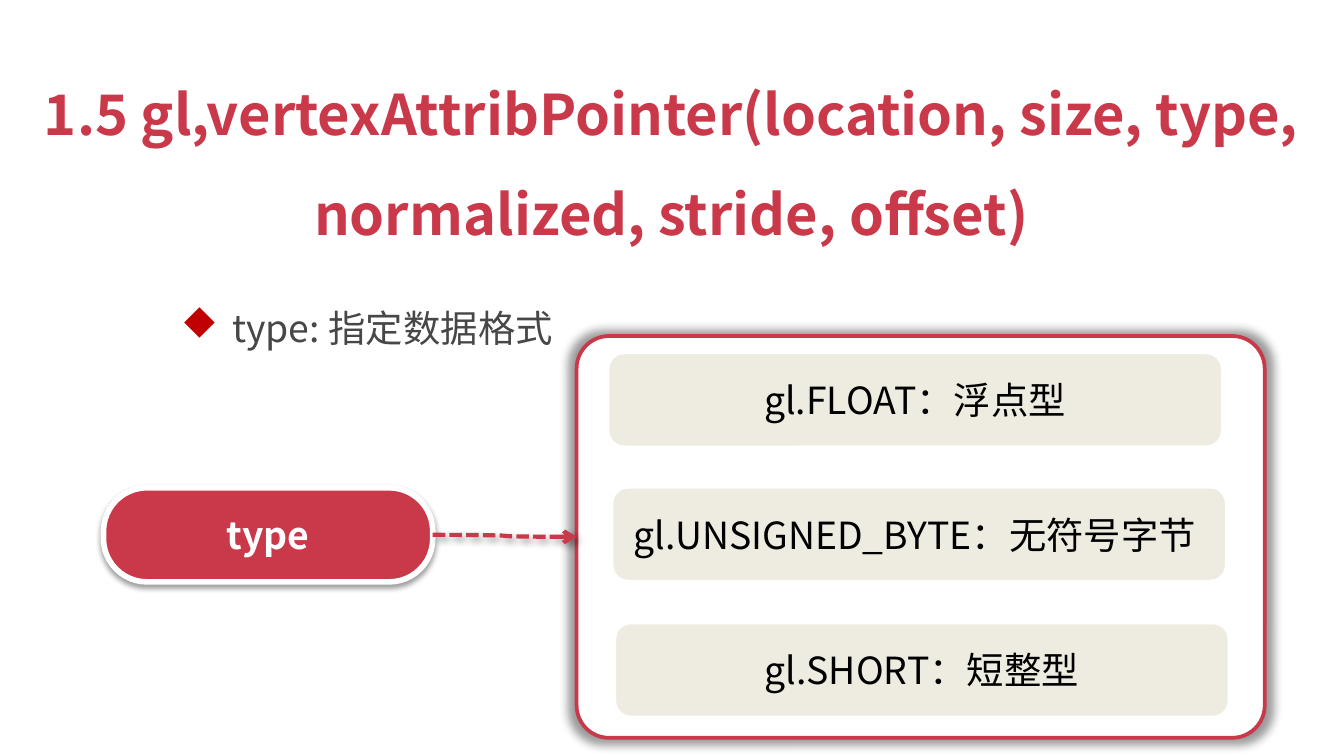
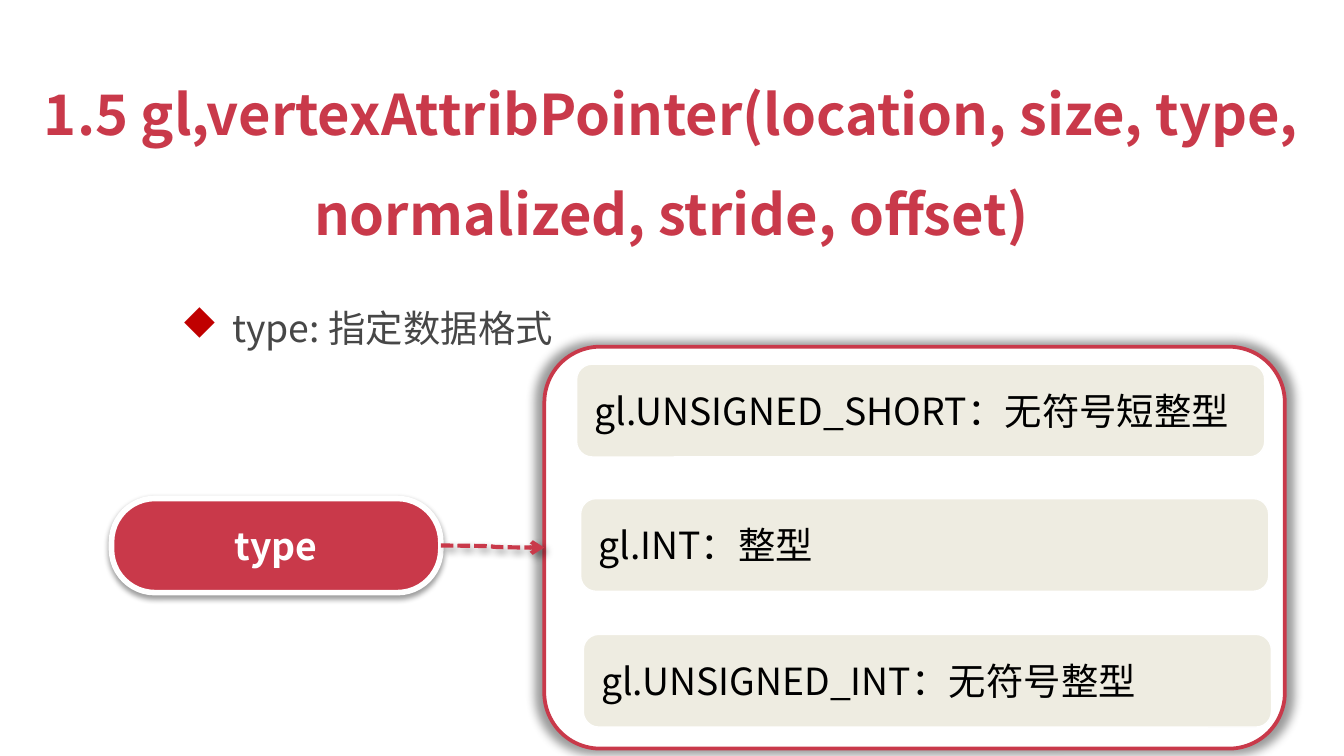
from lxml import etree
from pptx import Presentation
from pptx.dml.color import RGBColor
from pptx.enum.dml import MSO_LINE
from pptx.enum.shapes import MSO_CONNECTOR, MSO_SHAPE
from pptx.enum.text import MSO_ANCHOR, MSO_AUTO_SIZE, PP_ALIGN
from pptx.oxml.ns import qn
from pptx.util import Emu, Pt

PX = 9144  # 100 px to the inch
SLIDE_W = 1000
FONT = "Noto Sans CJK SC"
RED, BULLET_RED = "C9394A", "C00000"
WHITE, BLACK, GREY, BEIGE = "FFFFFF", "000000", "474747", "EEECE1"

ROUNDED = MSO_SHAPE.ROUNDED_RECTANGLE
CURVE = MSO_CONNECTOR.CURVE
SHORT_DASH = MSO_LINE.SQUARE_DOT
MIDDLE = MSO_ANCHOR.MIDDLE
LEFT, CENTER = PP_ALIGN.LEFT, PP_ALIGN.CENTER
FIT_SHAPE = MSO_AUTO_SIZE.SHAPE_TO_FIT_TEXT
LEFT_SITE, RIGHT_SITE = 1, 3

TITLE = "1.5 gl,vertexAttribPointer(location, size, type, normalized, stride, offset)"
TOPIC = "type: 指定数据格式"
TITLE_BOX = (-14, 29, 1027, 153)
TOPIC_BOX = (75, 222, 900, 44)
PILL_SIZE = (245, 70)
ROW_H = 69
ROWS_LEFT, ROWS_TOP = 24, 13

SLIDES = [
    dict(panel_box=(429, 250, 512, 299), corner=0.081, pill_left=77,
         row_w=456, align=CENTER,
         formats=["gl.FLOAT：浮点型", "gl.UNSIGNED_BYTE：⽆符号字节 ", "gl.SHORT：短整型"]),
    dict(panel_box=(405, 258, 551, 299), corner=0.139, pill_left=83,
         row_w=512, align=LEFT,
         formats=["gl.UNSIGNED_SHORT：无符号短整型", "gl.INT：整型", "gl.UNSIGNED_INT：无符号整型"]),
]


def color(hex_string):
    return RGBColor.from_string(hex_string)


def px(*lengths):
    return [Emu(length * PX) for length in lengths]


def add_xml(parent, tag, **attributes):
    values = {name: str(value) for name, value in attributes.items()}
    return etree.SubElement(parent, qn(tag), values)


def add_shadow(spPr, opacity, blur, distance, angle, scale=100):
    """Append an outer shadow; lengths in points, opacity and scale in percent."""
    effects = spPr.find(qn("a:effectLst"))
    if effects is None:
        effects = add_xml(spPr, "a:effectLst")
    shadow = add_xml(effects, "a:outerShdw", blurRad=Pt(blur), dist=Pt(distance),
                     dir=angle * 60000, sx=scale * 1000, sy=scale * 1000,
                     algn="ctr", rotWithShape=0)
    tint = add_xml(shadow, "a:srgbClr", val=BLACK)
    add_xml(tint, "a:alpha", val=opacity * 1000)


def write(frame, text, size, hex_color, bold=False, align=LEFT):
    frame.word_wrap = True
    frame.text = text
    paragraph = frame.paragraphs[0]
    paragraph.alignment = align
    for run in paragraph.runs:
        font = run.font
        font.size, font.bold, font.name = Pt(size), bold, FONT
        font.color.rgb = color(hex_color)
        add_xml(run._r.get_or_add_rPr(), "a:ea", typeface=FONT)
    return paragraph


def add_rounded(slide, box, fill, line, line_width, corner=None, shadow=None):
    shape = slide.shapes.add_shape(ROUNDED, *px(*box))
    if corner is not None:
        shape.adjustments[0] = corner
    shape.fill.solid()
    shape.fill.fore_color.rgb = color(fill)
    shape.line.color.rgb = color(line)
    shape.line.width = Pt(line_width)
    shape.shadow.inherit = False
    if shadow:
        add_shadow(shape._element.spPr, *shadow)
    shape.text_frame.vertical_anchor = MIDDLE
    return shape


def add_topic(slide, box):
    frame = slide.shapes.add_textbox(*px(*box)).text_frame
    frame.vertical_anchor = MIDDLE
    frame.auto_size = FIT_SHAPE
    topic = write(frame, TOPIC, 20, GREY)
    topic.level = 1
    pPr = topic._p.get_or_add_pPr()
    indent, hanging = px(88, -38)
    pPr.set("marL", str(indent))
    pPr.set("indent", str(hanging))
    add_xml(add_xml(pPr, "a:buClr"), "a:srgbClr", val=BULLET_RED)
    add_xml(pPr, "a:buFont", typeface="Wingdings", charset=2)
    add_xml(pPr, "a:buChar", char="u")  # a diamond in Wingdings


def add_title(slide, box):
    frame = slide.shapes.add_textbox(*px(*box)).text_frame
    frame.auto_size = FIT_SHAPE
    write(frame, TITLE, 30, RED, bold=True, align=CENTER).line_spacing = 1.5


def add_format_panel(slide, box, corner, formats, row_w, align):
    """Draw the framed list of formats, each row a little right of the last."""
    left, top = box[:2]
    panel = add_rounded(slide, box, WHITE, RED, 2, corner, shadow=(40, 5, 0, 0, 102))
    for i, label in enumerate(formats):
        row_box = (left + ROWS_LEFT + (i * 5 + 1) // 2, top + ROWS_TOP + i * 201 // 2,
                   row_w, ROW_H)
        row = add_rounded(slide, row_box, BEIGE, WHITE, 0.75)
        write(row.text_frame, label, 20, BLACK, align=align)
    return panel


def add_type_pill(slide, left, top):
    pill = add_rounded(slide, (left, top, *PILL_SIZE), RED, WHITE, 3, 0.461,
                       shadow=(38, 3.1, 1.6, 90))
    write(pill.text_frame, "type", 20, WHITE, bold=True, align=CENTER)
    return pill


def add_arrow(slide, pill, panel):
    arrow = slide.shapes.add_connector(CURVE, 0, 0, 0, 0)
    arrow.begin_connect(pill, RIGHT_SITE)
    arrow.end_connect(panel, LEFT_SITE)
    arrow.line.color.rgb = color(RED)
    arrow.line.width = Pt(2.25)
    arrow.line.dash_style = SHORT_DASH
    add_xml(arrow.line._get_or_add_ln(), "a:tailEnd", type="arrow")
    add_shadow(arrow._element.spPr, 40, 4, 3, 45)


def add_type_slide(deck, panel_box, corner, pill_left, row_w, align, formats):
    slide = deck.slides.add_slide(deck.slide_layouts[6])
    add_topic(slide, TOPIC_BOX)
    add_title(slide, TITLE_BOX)
    panel = add_format_panel(slide, panel_box, corner, formats, row_w, align)
    pill = add_type_pill(slide, pill_left, panel_box[1] + 113)
    add_arrow(slide, pill, panel)


def main():
    deck = Presentation()
    deck.slide_width = Emu(SLIDE_W * PX)
    deck.slide_height = Emu(deck.slide_width * 9 // 16)
    for content in SLIDES:
        add_type_slide(deck, **content)
    deck.save("out.pptx")


if __name__ == "__main__":
    main()
